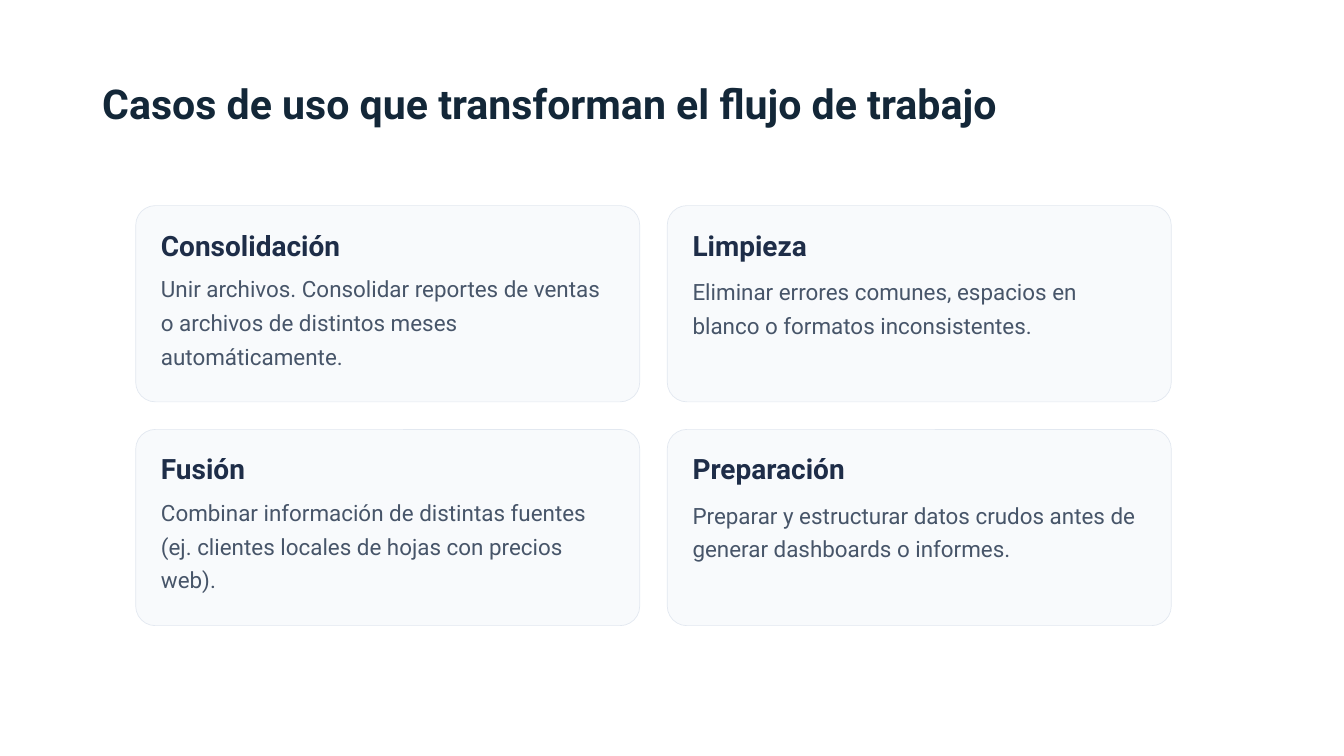
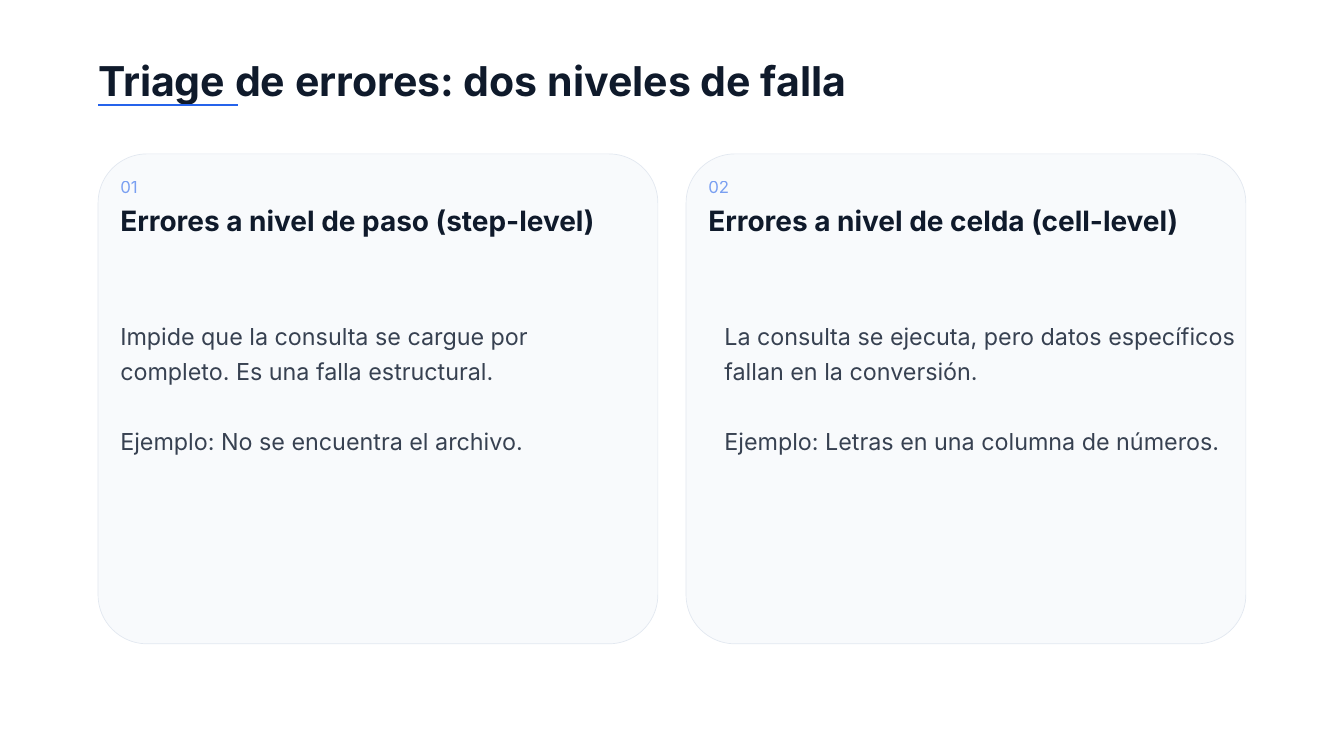
from lxml import etree
from pptx import Presentation
from pptx.dml.color import RGBColor
from pptx.enum.shapes import MSO_CONNECTOR, MSO_SHAPE
from pptx.enum.text import MSO_ANCHOR, MSO_AUTO_SIZE, PP_ALIGN
from pptx.oxml.ns import qn
from pptx.util import Inches, Pt

COLORS = {
    "title_cases": "132738",
    "heading_cases": "1E2D48",
    "body_cases": "475569",
    "title_errors": "0F1A2B",
    "body_errors": "374151",
    "accent": "2563EB",
    "card": "F8FAFC",
    "border": "E2E8F0",
}


def write(sp, box, lines, font, size, color, spacing, bold=False):
    """Place a title or text box and fill it, one paragraph per line, a line's height apart."""
    sp.left, sp.top, sp.width, sp.height = [Inches(v) for v in box]
    tf = sp.text_frame
    tf.word_wrap = True
    tf.auto_size = MSO_AUTO_SIZE.NONE
    tf.vertical_anchor = MSO_ANCHOR.TOP
    tf.margin_left = tf.margin_top = tf.margin_right = tf.margin_bottom = 0
    for i, line in enumerate(lines):
        p = tf.add_paragraph() if i else tf.paragraphs[0]
        p.alignment = PP_ALIGN.LEFT
        p.line_spacing = Pt(spacing)
        p.space_before = Pt(spacing if i else 0)
        r = p.add_run()
        r.text = line
        r.font.name = font
        r.font.size = Pt(size)
        r.font.bold = bold
        r.font.color.rgb = RGBColor.from_string(COLORS[color])
    return sp


def add_card(s, x, y, w, h):
    sp = s.shapes.add_shape(MSO_SHAPE.ROUNDED_RECTANGLE, Inches(x), Inches(y), Inches(w), Inches(h))
    sp.adjustments[0] = 0.1
    sp.shadow.inherit = False
    sp.fill.solid()
    sp.fill.fore_color.rgb = RGBColor.from_string(COLORS["card"])
    sp.line.color.rgb = RGBColor.from_string(COLORS["border"])
    sp.line.width = Pt(0.75)


prs = Presentation()
prs.slide_width = Inches(20)
prs.slide_height = Inches(11.25)
title_only = prs.slide_layouts[5]

# Slide 1: use cases in a two by two grid
s = prs.slides.add_slide(title_only)
write(s.shapes.title, (1.52, 1.16, 16.41, 0.74),
      ["Casos de uso que transforman el flujo de trabajo"],
      "Roboto", 44, "title_cases", 52.8, True)

cases = [
    ("Consolidación", "Unir archivos. Consolidar reportes de ventas o archivos de "
                      "distintos meses automáticamente."),
    ("Limpieza", "Eliminar errores comunes, espacios en blanco o formatos inconsistentes."),
    ("Fusión", "Combinar información de distintas fuentes (ej. clientes locales de "
               "hojas con precios web)."),
    ("Preparación", "Preparar y estructurar datos crudos antes de generar dashboards o informes."),
]
for i, (heading, body) in enumerate(cases):
    row, col = divmod(i, 2)
    x, y = 2.02 + col * 7.91, 3.06 + row * 3.33
    add_card(s, x, y, 7.5, 2.92)
    write(s.shapes.add_textbox(0, 0, 0, 0), (x + 0.375, y + 0.335, 6.75, 0.5),
          [heading], "Roboto", 30, "heading_cases", 36, True)
    body_top, body_height = ((0.94, 1.45), (0.98, 0.96))[col]
    write(s.shapes.add_textbox(0, 0, 0, 0), (x + 0.375, y + body_top, 6.75, body_height),
          [body], "Roboto", 24, "body_cases", 36)

# Slide 2: two levels of error side by side
s = prs.slides.add_slide(title_only)
write(s.shapes.title, (1.46, 0.83, 17.08, 0.73),
      ["Triage de errores: dos niveles de falla"], "Inter", 44, "title_errors", 52.8, True)

underline = s.shapes.add_connector(MSO_CONNECTOR.STRAIGHT,
                                   Inches(1.46), Inches(1.56), Inches(3.54), Inches(1.56))
underline.line.color.rgb = RGBColor.from_string(COLORS["accent"])
underline.line.width = Pt(2.25)
etree.SubElement(underline._element.spPr, qn("a:effectLst"))

levels = [
    ("Errores a nivel de paso (step-level)", 0.33,
     ["Impide que la consulta se cargue por completo. Es una falla estructural.",
      "Ejemplo: No se encuentra el archivo."]),
    ("Errores a nivel de celda (cell-level)", 0.57,
     ["La consulta se ejecuta, pero datos específicos fallan en la conversión.",
      "Ejemplo: Letras en una columna de números."]),
]
for i, (heading, body_indent, body) in enumerate(levels):
    x, y = 1.46 + i * 8.75, 2.29
    add_card(s, x, y, 8.33, 7.29)
    number = write(s.shapes.add_textbox(0, 0, 0, 0), (x + 0.33, 2.58, 0.62, 0.34),
                   [f"{i + 1:02}"], "Inter", 18, "accent", 25.2)
    for clr in number._element.iter(qn("a:srgbClr")):
        etree.SubElement(clr, qn("a:alpha"), val="60000")
    write(s.shapes.add_textbox(0, 0, 0, 0), (x + 0.33, 2.98, 7.67, 0.52),
          [heading], "Inter", 30, "title_errors", 39, True)
    write(s.shapes.add_textbox(0, 0, 0, 0), (x + body_indent, 4.69, 7.67, 2.02),
          body, "Inter", 25, "body_errors", 37.5)

prs.save("out.pptx")
